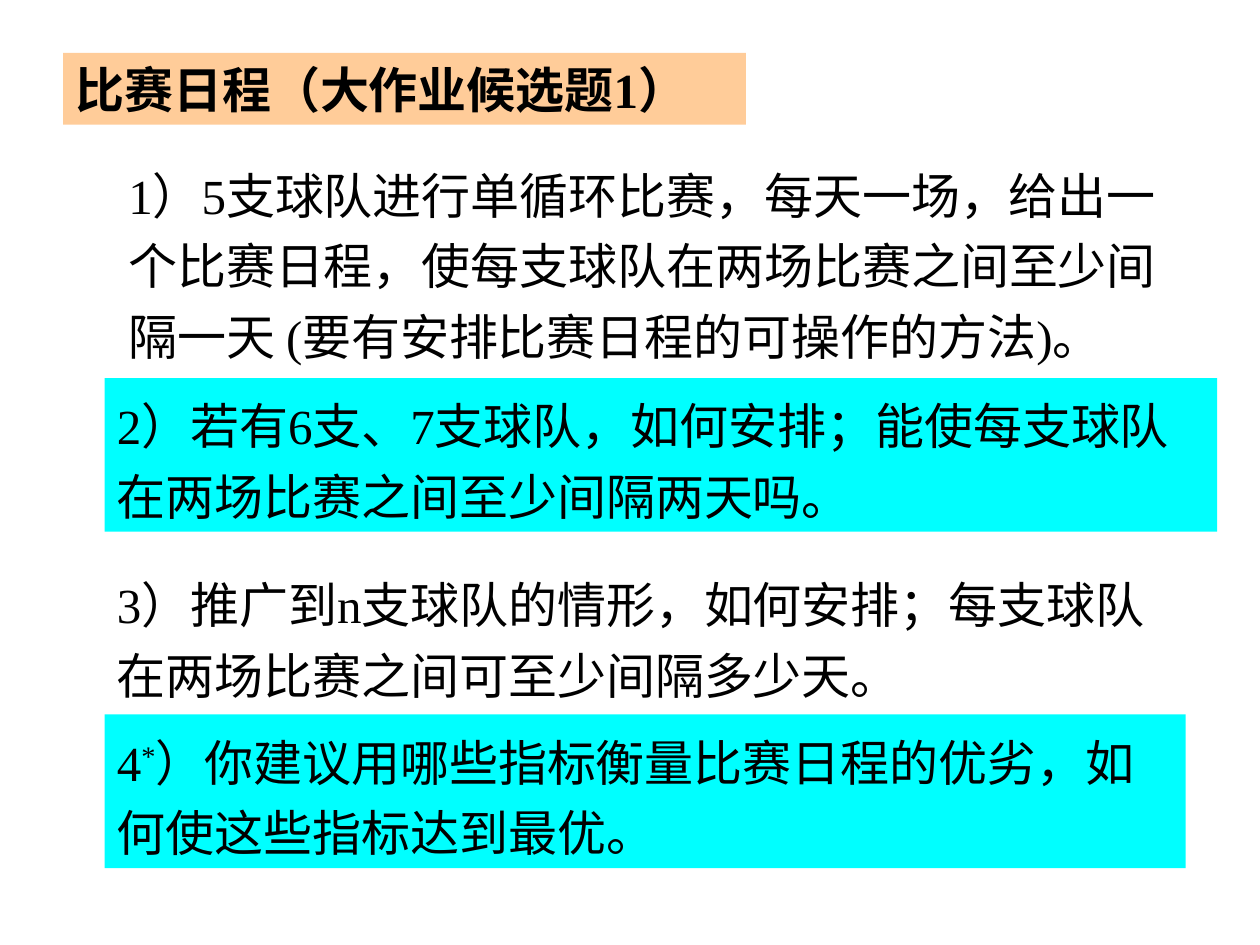
"""Build a slide listing four questions on scheduling a round-robin tournament."""
import dataclasses
import typing

import pptx
import pptx.dml.color
import pptx.enum.lang
import pptx.enum.shapes
import pptx.enum.text
import pptx.slide
import pptx.util

Inches = pptx.util.Inches
RGB = pptx.dml.color.RGBColor


@dataclasses.dataclass(frozen=True)
class Theme:
    font: str = "Times New Roman"
    size: pptx.util.Length = pptx.util.Pt(28)
    text: RGB = RGB(0x00, 0x00, 0x00)
    title_fill: RGB = RGB(0xFF, 0xCC, 0x99)
    highlight: RGB = RGB(0x00, 0xFF, 0xFF)
    question_spacing: float = 1.2
    superscript: str = "30000"


class Run(typing.NamedTuple):
    text: str
    raised: bool = False


@dataclasses.dataclass(frozen=True)
class Block:
    left: float
    top: float
    width: float
    height: float
    runs: tuple[Run, ...]
    fill: RGB | None = None
    is_title: bool = False


THEME = Theme()
BLOCKS = (
    Block(0.5, 0.42, 5.42, 0.57, (Run("比赛日程（大作业候选题1）"),),
          THEME.title_fill, is_title=True),
    Block(0.92, 1.17, 8.67, 1.78,
          (Run("1）5支球队进行单循环比赛，每天一场，给出一个比赛日程，"
               "使每支球队在两场比赛之间至少间隔一天 (要有安排比赛日程的可操作的方法)。"),)),
    Block(0.83, 3, 8.83, 1.22,
          (Run("2）若有6支、7支球队，如何安排；能使每支球队在两场比赛之间至少间隔两天吗。"),),
          THEME.highlight),
    Block(0.83, 4.42, 8.5, 1.22,
          (Run("3）推广到n支球队的情形，如何安排；每支球队在两场比赛之间可至少间隔多少天。"),)),
    Block(0.83, 5.67, 8.58, 1.22,
          (Run("4"), Run("*", raised=True),
           Run("）你建议用哪些指标衡量比赛日程的优劣，如何使这些指标达到最优。")),
          THEME.highlight),
)


def draw_block(slide: pptx.slide.Slide, block: Block) -> None:
    box = [Inches(v) for v in (block.left, block.top, block.width, block.height)]
    if block.fill is None:
        sp = slide.shapes.add_textbox(*box)
    else:
        sp = slide.shapes.add_shape(pptx.enum.shapes.MSO_SHAPE.RECTANGLE, *box)
        sp.shadow.inherit = False
        sp.fill.solid()
        sp.fill.fore_color.rgb = block.fill
        sp.line.fill.background()
    tf = sp.text_frame
    tf.word_wrap = True
    tf.auto_size = pptx.enum.text.MSO_AUTO_SIZE.SHAPE_TO_FIT_TEXT
    tf.vertical_anchor = pptx.enum.text.MSO_ANCHOR.TOP
    p = tf.paragraphs[0]
    p.alignment = pptx.enum.text.PP_ALIGN.LEFT
    p.line_spacing = 1.0 if block.is_title else THEME.question_spacing
    p.font.name = THEME.font
    p.font.size = THEME.size
    p.font.bold = block.is_title
    p.font.color.rgb = THEME.text
    for run in block.runs:
        r = p.add_run()
        r.text = run.text
        r.font.language_id = pptx.enum.lang.MSO_LANGUAGE_ID.SIMPLIFIED_CHINESE
        if run.raised:
            r._r.get_or_add_rPr().set("baseline", THEME.superscript)


def main() -> None:
    prs = pptx.Presentation()
    prs.slide_width, prs.slide_height = Inches(10), Inches(7.5)
    slide = prs.slides.add_slide(prs.slide_layouts[6])
    for block in BLOCKS:
        draw_block(slide, block)
    prs.save("out.pptx")


if __name__ == "__main__":
    main()
